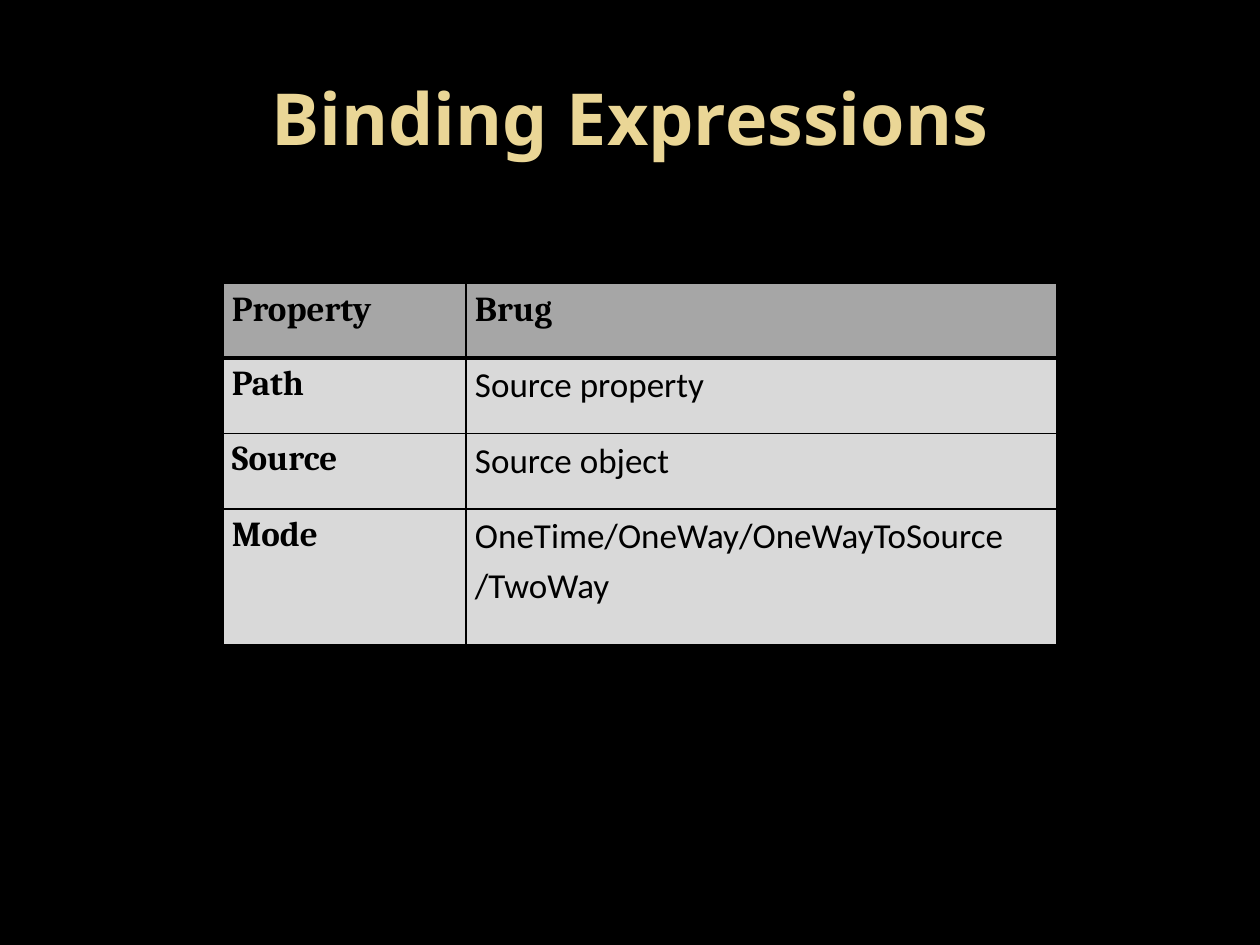
from dataclasses import dataclass

from lxml import etree
from pptx import Presentation
from pptx.dml.color import RGBColor
from pptx.enum.text import MSO_ANCHOR, PP_ALIGN
from pptx.oxml.ns import qn
from pptx.util import Inches, Pt

CENTER, LEFT = PP_ALIGN.CENTER, PP_ALIGN.LEFT
MIDDLE, TOP = MSO_ANCHOR.MIDDLE, MSO_ANCHOR.TOP
TITLE_ONLY = 5


@dataclass(frozen=True)
class Theme:
    """Colours, fonts and type sizes of the slide."""
    page: str = "000000"
    title: str = "EAD696"
    ink: str = "000000"
    header_fill: str = "A6A6A6"
    body_fill: str = "D9D9D9"
    title_font: str = "Noto Sans"
    label_font: str = "Cambria"
    value_font: str = "Calibri"
    title_size: float = 41
    cell_size: float = 20
    thin_line: float = 1
    thick_line: float = 2.25


@dataclass(frozen=True)
class Row:
    """One table row: property name, its use and the row height in inches."""
    name: str
    use: str
    height: float


THEME = Theme()
COLUMN_WIDTHS = (1.93, 4.69)
ROWS = (
    Row("Property", "Brug", 0.59),
    Row("Path", "Source property", 0.6),
    Row("Source", "Source object", 0.6),
    Row("Mode", "OneTime/OneWay/OneWayToSource /TwoWay", 1.08),
)


def write_text(frame, text: str, *, font: str, size: float, color: str,
               bold: bool = False, align=LEFT, spacing: float = 1.0) -> None:
    """Put one formatted paragraph into a text frame."""
    para = frame.paragraphs[0]
    para.alignment, para.line_spacing = align, spacing
    span = para.add_run()
    span.text = text
    span.font.name, span.font.size, span.font.bold = font, Pt(size), bold
    span.font.color.rgb = RGBColor.from_string(color)


def set_borders(cell, top: float, bottom: float) -> None:
    """Draw the four borders of a cell, with widths in points."""
    properties = cell._tc.get_or_add_tcPr()
    widths = {"lnL": THEME.thin_line, "lnR": THEME.thin_line, "lnT": top, "lnB": bottom}
    for index, (side, width) in enumerate(widths.items()):
        line = etree.Element(qn(f"a:{side}"), w=str(Pt(width)))
        fill = etree.SubElement(line, qn("a:solidFill"))
        etree.SubElement(fill, qn("a:srgbClr"), val=THEME.ink)
        properties.insert(index, line)


def add_title(page, text: str) -> None:
    """Place and format the title placeholder."""
    box = page.shapes.title
    box.left, box.top, box.width, box.height = map(Inches, (0.5, 0.3, 9, 1.25))
    box.text_frame.vertical_anchor = MIDDLE
    write_text(box.text_frame, text, font=THEME.title_font, size=THEME.title_size,
               color=THEME.title, bold=True, align=CENTER)


def fill_cell(cell, text: str, row: int, column: int) -> None:
    """Format one cell according to its place in the table."""
    header, label = row == 0, row == 0 or column == 0
    cell.margin_left = cell.margin_right = Inches(0.07)
    cell.margin_top = cell.margin_bottom = 0
    cell.vertical_anchor = TOP
    cell.fill.solid()
    cell.fill.fore_color.rgb = RGBColor.from_string(
        THEME.header_fill if header else THEME.body_fill)
    set_borders(cell, top=THEME.thick_line if row == 1 else THEME.thin_line,
                bottom=THEME.thick_line if header else THEME.thin_line)
    write_text(cell.text_frame, text, size=THEME.cell_size, color=THEME.ink,
               font=THEME.label_font if label else THEME.value_font,
               bold=label, spacing=1.15)


def add_property_table(page) -> None:
    """Add the table of binding properties."""
    size = sum(COLUMN_WIDTHS), sum(row.height for row in ROWS)
    table = page.shapes.add_table(len(ROWS), len(COLUMN_WIDTHS),
                                  *map(Inches, (1.77, 2.25, *size))).table
    for column, width in zip(table.columns, COLUMN_WIDTHS):
        column.width = Inches(width)
    for row_index, row in enumerate(ROWS):
        table.rows[row_index].height = Inches(row.height)
        for column_index, text in enumerate((row.name, row.use)):
            fill_cell(table.cell(row_index, column_index), text, row_index, column_index)


def main() -> None:
    """Build the slide and save the deck."""
    deck = Presentation()
    deck.slide_width, deck.slide_height = Inches(10), Inches(7.5)
    page = deck.slides.add_slide(deck.slide_layouts[TITLE_ONLY])
    page.background.fill.solid()
    page.background.fill.fore_color.rgb = RGBColor.from_string(THEME.page)
    add_title(page, "Binding Expressions")
    add_property_table(page)
    deck.save("out.pptx")


main()
